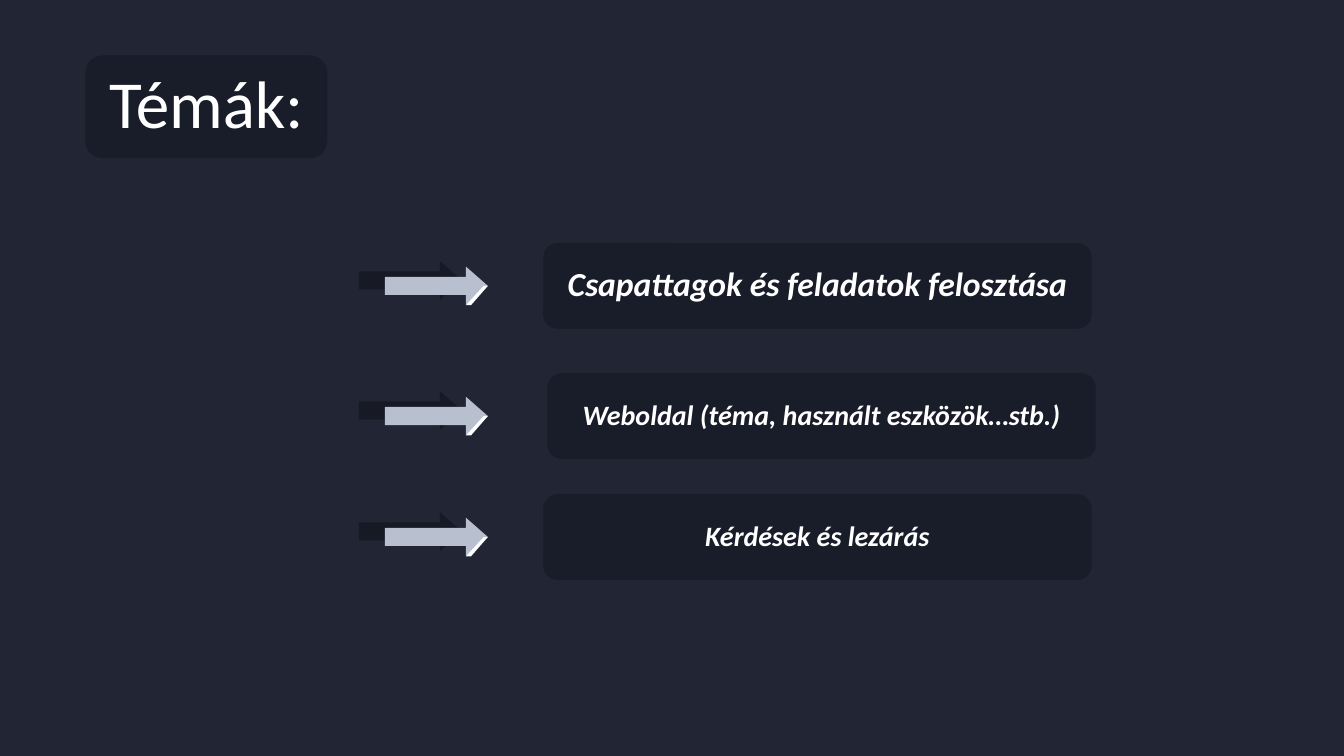
from lxml import etree
from pptx import Presentation
from pptx.dml.color import RGBColor
from pptx.enum.shapes import MSO_SHAPE
from pptx.enum.text import MSO_ANCHOR, PP_ALIGN
from pptx.oxml.ns import qn
from pptx.util import Pt

ROUNDED = MSO_SHAPE.ROUNDED_RECTANGLE
RIGHT_ARROW = MSO_SHAPE.RIGHT_ARROW
MIDDLE = MSO_ANCHOR.MIDDLE
CENTER = PP_ALIGN.CENTER

BACKGROUND = RGBColor(0x21, 0x25, 0x34)
CARD = RGBColor(0x19, 0x1C, 0x29)
ARROW = RGBColor(0xB8, 0xC0, 0xCF)
WHITE = RGBColor(0xFF, 0xFF, 0xFF)

FONT = "Calibri"
INSET = 10.8
CARD_WIDTH, CARD_HEIGHT = 391.7, 61.2
ARROW_LEFT, ARROW_WIDTH, ARROW_HEIGHT = 275, 73.5, 27.5

# Card left, card top, text, text size
TOPICS = [
    (388.1, 173.6, "Csapattagok és feladatok felosztása", 24),
    (391, 266.6, "Weboldal (téma, használt eszközök…stb.)", 20),
    (388.1, 353, "Kérdések és lezárás", 20),
]


def write_text(shape, text, size, bold=False, italic=False):
    frame = shape.text_frame
    frame.word_wrap = True
    frame.vertical_anchor = MIDDLE
    frame.margin_left = frame.margin_right = Pt(INSET)
    frame.margin_top = frame.margin_bottom = Pt(INSET)
    paragraph = frame.paragraphs[0]
    paragraph.alignment = CENTER
    paragraph.line_spacing = 0.9
    run = paragraph.add_run()
    run.text = text
    run.font.name = FONT
    run.font.size = Pt(size)
    run.font.bold = bold
    run.font.italic = italic
    run.font.color.rgb = WHITE


def paint(shape, color):
    shape.shadow.inherit = False
    shape.fill.solid()
    shape.fill.fore_color.rgb = color
    shape.line.fill.background()


def add_box(slide, kind, color, left, top, width, height):
    shape = slide.shapes.add_shape(kind, Pt(left), Pt(top), Pt(width), Pt(height))
    paint(shape, color)
    return shape


def add_shadow(shape):
    effects = shape._element.spPr.find(qn("a:effectLst"))
    shadow = etree.SubElement(effects, qn("a:outerShdw"), blurRad="0",
                              dist=str(Pt(19)), dir=str(192 * 60000),
                              algn="ctr", rotWithShape="0")
    color = etree.SubElement(shadow, qn("a:srgbClr"), val="000000")
    etree.SubElement(color, qn("a:alpha"), val="28000")


def add_title(slide, left, top, width, height):
    card = add_box(slide, ROUNDED, CARD, left, top, width, height)
    title = slide.shapes.title
    title.left, title.top = Pt(left + 1), Pt(top + 3.6)
    title.width, title.height = Pt(width - 2), Pt(height - 7.2)
    write_text(title, "Témák:", 48)
    # Bring the title in front of its card
    card._element.addnext(title._element)


def add_arrow(slide, left, top, width, height):
    arrow = add_box(slide, RIGHT_ARROW, ARROW, left, top, width, height)
    arrow.adjustments[0] = 0.47
    arrow.adjustments[1] = 0.57
    add_shadow(arrow)
    # Bright lower edge of the arrowhead
    middle = top + height / 2
    bottom = top + height
    tip = left + width
    builder = slide.shapes.build_freeform(Pt(tip - 15.6), Pt(bottom))
    builder.add_line_segments([
        (Pt(tip - 12), Pt(bottom)),
        (Pt(tip), Pt(middle)),
        (Pt(tip - 3), Pt(middle)),
    ])
    paint(builder.convert_to_shape(), WHITE)


def add_topic(slide, left, top, text, size):
    card = add_box(slide, ROUNDED, CARD, left, top, CARD_WIDTH, CARD_HEIGHT)
    write_text(card, text, size, bold=True, italic=True)
    arrow_top = top + (CARD_HEIGHT - ARROW_HEIGHT) / 2
    add_arrow(slide, ARROW_LEFT, arrow_top, ARROW_WIDTH, ARROW_HEIGHT)


def main():
    presentation = Presentation()
    presentation.slide_width, presentation.slide_height = Pt(960), Pt(540)
    slide = presentation.slides.add_slide(presentation.slide_layouts[5])
    slide.background.fill.solid()
    slide.background.fill.fore_color.rgb = BACKGROUND

    add_title(slide, 61, 39.6, 172.8, 73.4)
    for topic in TOPICS:
        add_topic(slide, *topic)

    presentation.save("out.pptx")


if __name__ == "__main__":
    main()
